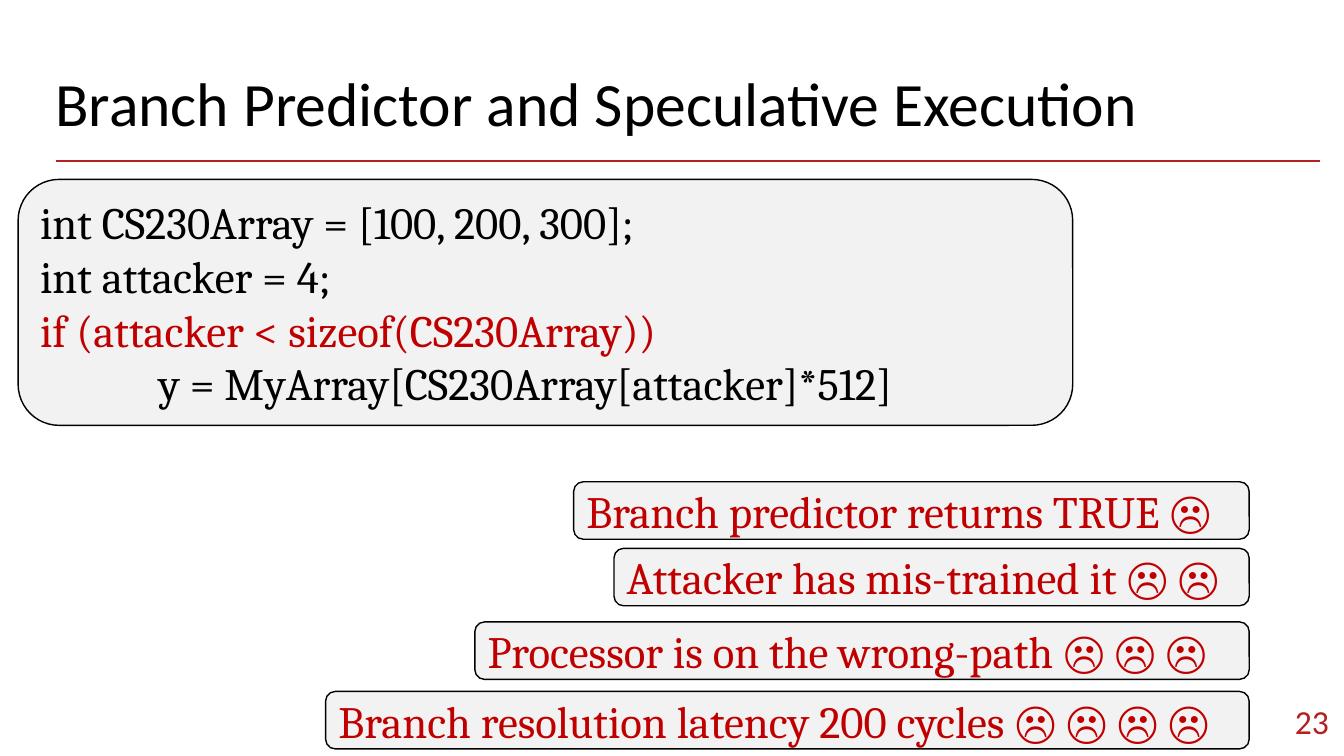
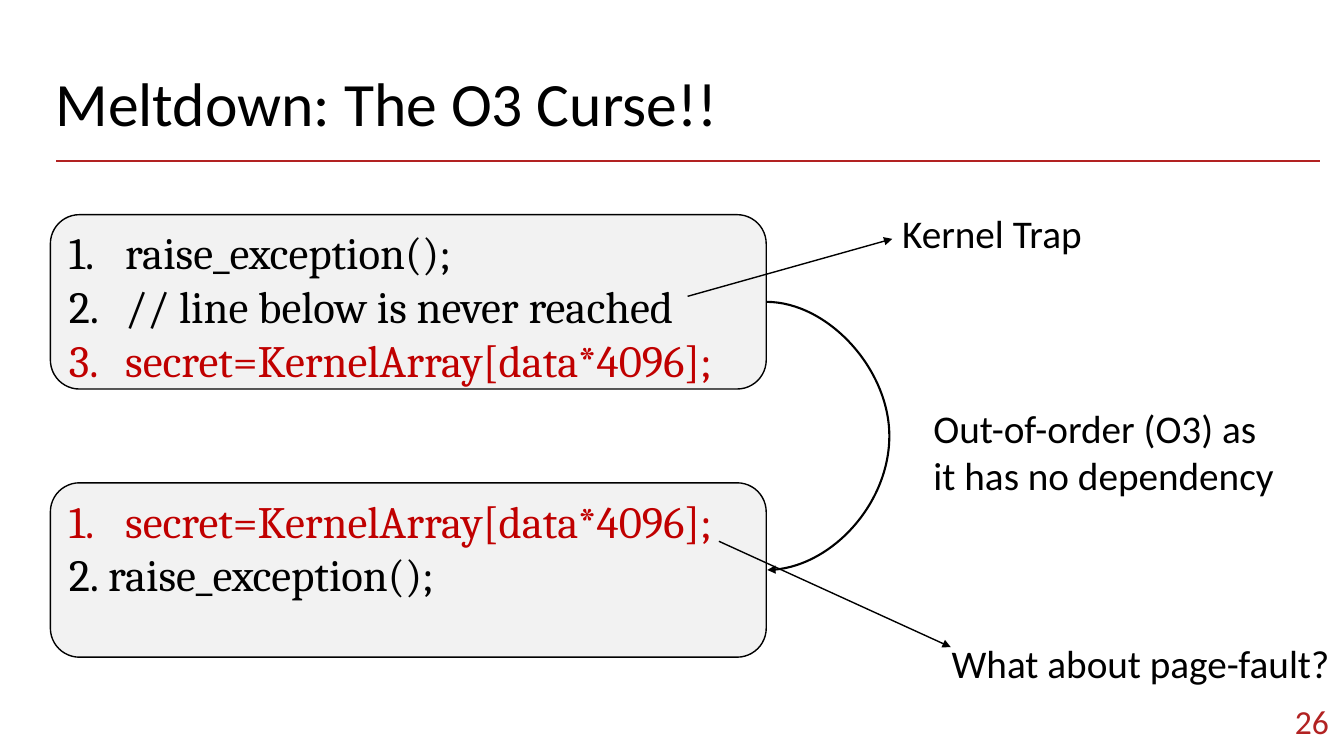
from pptx import Presentation
from pptx.dml.color import RGBColor
from pptx.enum.shapes import MSO_CONNECTOR, MSO_SHAPE
from pptx.enum.text import MSO_ANCHOR, MSO_AUTO_SIZE, PP_ALIGN
from pptx.oxml.ns import qn
from pptx.util import Inches, Pt
from lxml.etree import SubElement

BLACK = RGBColor(0x00, 0x00, 0x00)
BRICK = RGBColor(0xB2, 0x22, 0x22)
RED = RGBColor(0xC0, 0x00, 0x00)
PALE = RGBColor(0xF2, 0xF2, 0xF2)

TITLE = {"name": "Calibri", "size": Pt(44)}
PAGE = {"name": "Calibri", "size": Pt(24)}
LABEL = {"name": "Calibri", "size": Pt(28)}
CODE = {"name": "Cambria", "size": Pt(32)}

PAD = {f"margin_{side}": Inches(0.1) for side in ("left", "top", "right", "bottom")}
MIDDLE = {"word_wrap": True, "vertical_anchor": MSO_ANCHOR.MIDDLE,
          "auto_size": MSO_AUTO_SIZE.NONE}
TOP = {**MIDDLE, "vertical_anchor": MSO_ANCHOR.TOP}
LIST = {**TOP, "margin_top": Inches(0.02)}


def apply(item, style):
    """Set every attribute named in the style."""
    for key, value in style.items():
        setattr(item, key, value)


def span(box):
    """Turn a tuple of inches into lengths."""
    return [Inches(part) for part in box]


def number(para, start, indent):
    """Give a paragraph a hanging number."""
    props = para._p.get_or_add_pPr()
    props.set("marL", str(Inches(indent)))
    props.set("indent", str(-Inches(indent)))
    SubElement(props, qn("a:buFont"), typeface="+mj-lt")
    SubElement(props, qn("a:buAutoNum"), type="arabicPeriod", startAt=str(start))


def write(frame, lines, font, align=PP_ALIGN.LEFT, indents=()):
    """Fill a frame with (text, colour) lines, numbered if indents are given."""
    for row, (text, color) in enumerate(lines):
        para = frame.paragraphs[0] if row == 0 else frame.add_paragraph()
        if indents:
            number(para, row + 1, indents[row])
        para.alignment = align
        run = para.add_run()
        run.text = text
        apply(run.font, font)
        run.font.color.rgb = color


def label(slide, box, lines, font=LABEL, color=BLACK, align=PP_ALIGN.LEFT, style=TOP):
    """Place plain text in a box."""
    frame = slide.shapes.add_textbox(*span(box)).text_frame
    apply(frame, style)
    write(frame, [(line, color) for line in lines], font, align)


def panel(slide, box, lines, style=MIDDLE, indents=()):
    """Place a rounded grey panel of text."""
    shape = slide.shapes.add_shape(MSO_SHAPE.ROUNDED_RECTANGLE, *span(box))
    shape.shadow.inherit = False
    shape.fill.solid()
    shape.fill.fore_color.rgb = PALE
    shape.line.color.rgb = BLACK
    shape.line.width = Pt(1)
    apply(shape.text_frame, style)
    write(shape.text_frame, lines, CODE, indents=indents)


def link(slide, ends, width=1, color=BLACK, head=True, bulge=None):
    """Draw a line, curved if it has a bulge, with an optional arrowhead."""
    kind = MSO_CONNECTOR.CURVE if bulge else MSO_CONNECTOR.STRAIGHT
    line = slide.shapes.add_connector(kind, *span(ends))
    line.line.color.rgb = color
    line.line.width = Pt(width)
    props = line.element.spPr
    if head:
        SubElement(props.find(qn("a:ln")), qn("a:tailEnd"), type="triangle")
    if bulge:
        guides = props.find(qn("a:prstGeom")).find(qn("a:avLst"))
        ratio = round(bulge / (ends[2] - ends[0]) * 100000)
        SubElement(guides, qn("a:gd"), name="adj1", fmla=f"val {ratio}")
    SubElement(props, qn("a:effectLst"))


def base(deck, title, page):
    """Add a slide with its title, rule and page number."""
    slide = deck.slides.add_slide(deck.slide_layouts[5])
    head = slide.shapes.title
    box = span((0.45, 0.64, 12.42, 0.84))
    apply(head, dict(zip(("left", "top", "width", "height"), box)))
    apply(head.text_frame, {**MIDDLE, **PAD})
    write(head.text_frame, [(title, BLACK)], TITLE)
    head.text_frame.paragraphs[0].line_spacing = 0.9
    link(slide, (0.56, 1.6, 13.09, 1.6), 1.5, BRICK, head=False)
    label(slide, (12.27, 6.87, 1.01, 0.57), [page], PAGE, BRICK,
          PP_ALIGN.RIGHT, {**MIDDLE, **PAD})
    return slide


def stack(slide, right, rows):
    """Place right-aligned panels, each with one more sad face."""
    for count, (left, top, text) in enumerate(rows, 1):
        line = " ".join([text] + ["☹"] * count)
        panel(slide, (left, top, right - left, 0.57), [(line, RED)])


def branch(deck):
    """Build the branch predictor slide."""
    slide = base(deck, "Branch Predictor and Speculative Execution", "23")
    stack(slide, 12.39, [
        (5.69, 4.78, "Branch predictor returns TRUE"),
        (6.09, 5.44, "Attacker has mis-trained it"),
        (4.71, 6.17, "Processor is on the wrong-path"),
        (3.23, 6.86, "Branch resolution latency 200 cycles"),
    ])
    panel(slide, (0.18, 1.78, 10.46, 2.44), [
        ("int CS230Array = [100, 200, 300];", BLACK),
        ("int attacker = 4;", BLACK),
        ("if (attacker < sizeof(CS230Array))", RED),
        ("            y = MyArray[CS230Array[attacker]*512]", BLACK),
    ])


def order(slide, left, top, width, height, gap):
    """Place the two listings and the curve that joins them."""
    throw = ("raise_exception();", BLACK)
    note = ("// line below is never reached", BLACK)
    leak = ("secret=KernelArray[data*4096];", RED)
    low = top + height + gap
    panel(slide, (left, top, width, height), [throw, note, leak], LIST, [0.56] * 3)
    panel(slide, (left, low, width, height), [leak, throw], LIST, [0.56, 0.39])
    right, half = left + width, height / 2
    link(slide, (right, top + half, right + 0.01, low + half), 1.5, bulge=1.24)


def melt(deck):
    """Build the Meltdown slide."""
    slide = base(deck, "Meltdown: The O3 Curse!!", "26")
    order(slide, 0.5, 2.13, 7.1, 1.73, 0.93)
    label(slide, (9.16, 3.96, 3.62, 1.04),
          ["Out-of-order (O3) as", "it has no dependency"])
    label(slide, (8.85, 2.03, 2, 0.57), ["Kernel Trap"])
    label(slide, (9.34, 6.29, 3.99, 0.57), ["What about page-fault?"])
    link(slide, (6.82, 2.94, 8.85, 2.37))
    link(slide, (7.13, 5.37, 9.43, 6.42))


def main():
    """Build and save the deck."""
    deck = Presentation()
    apply(deck, {"slide_width": Inches(13.33), "slide_height": Inches(7.5)})
    branch(deck)
    melt(deck)
    deck.save("out.pptx")


if __name__ == "__main__":
    main()
